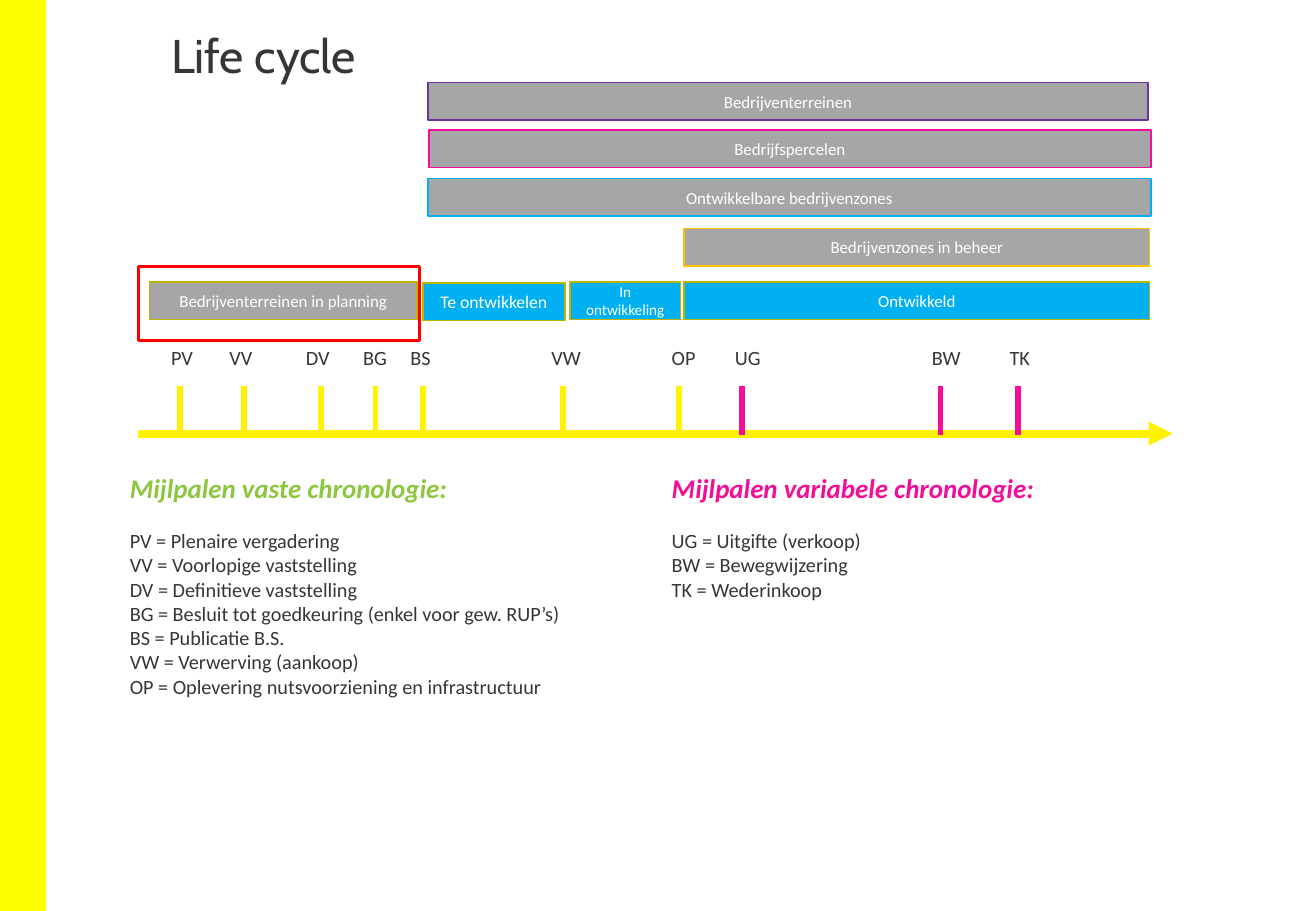
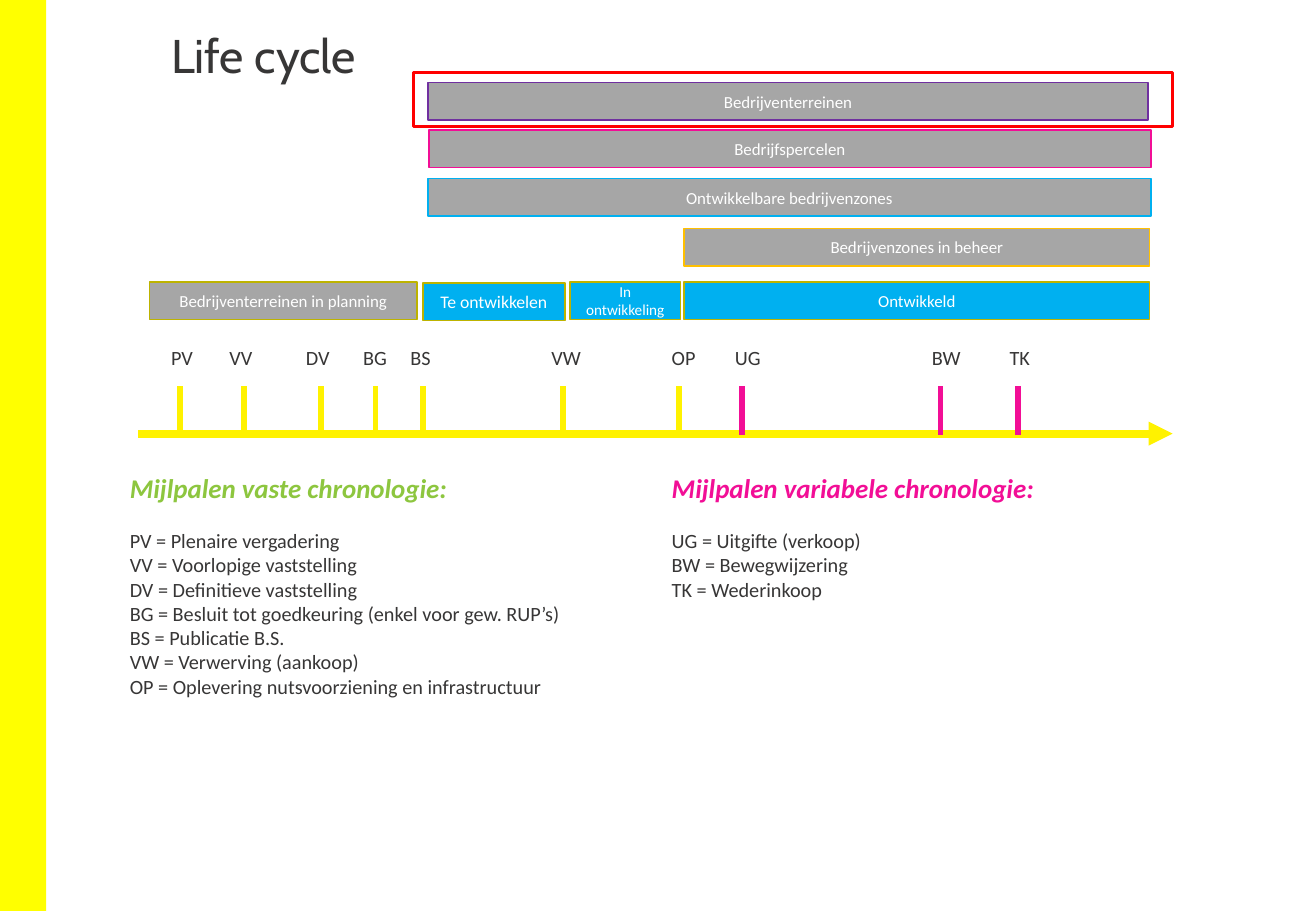
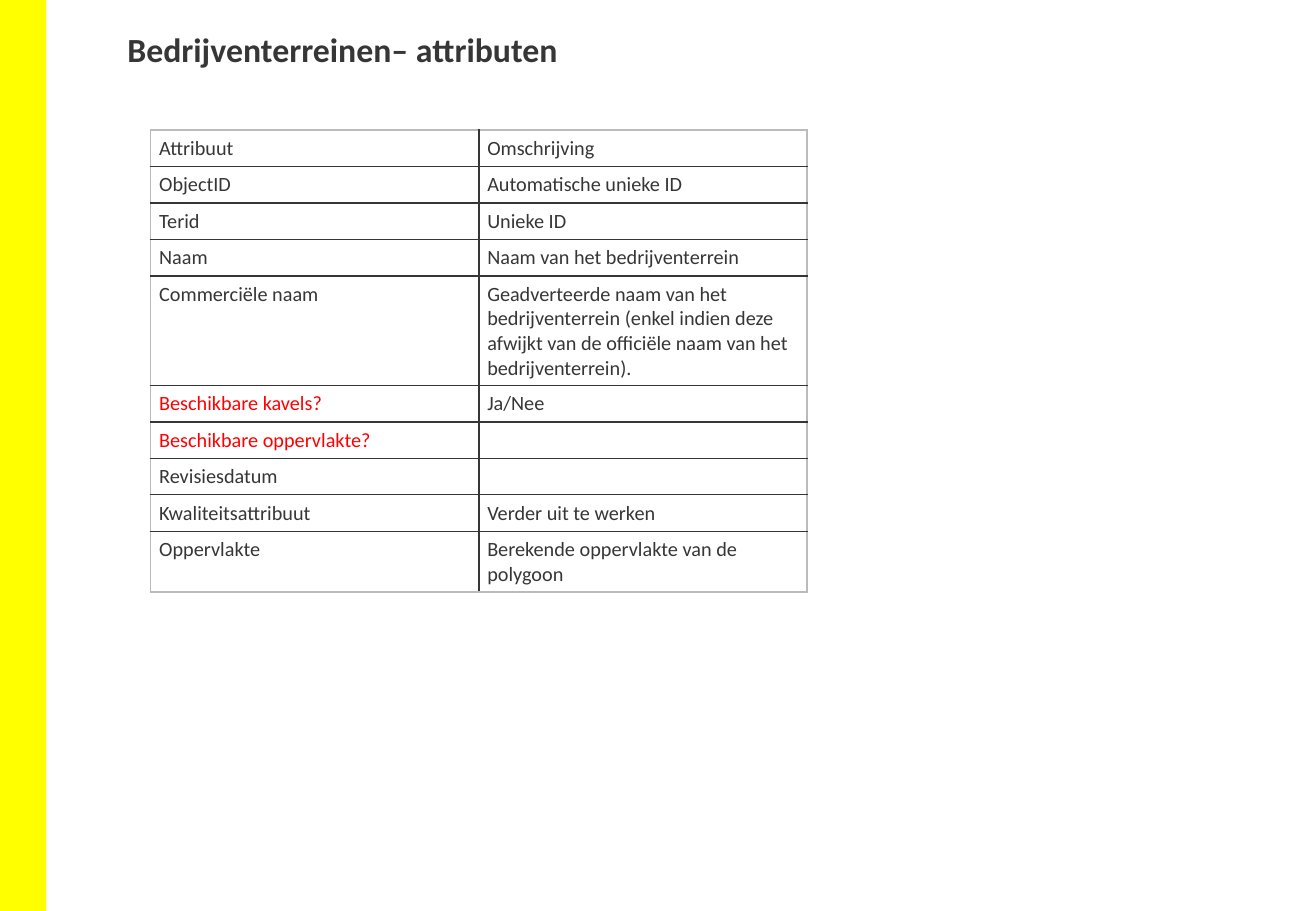
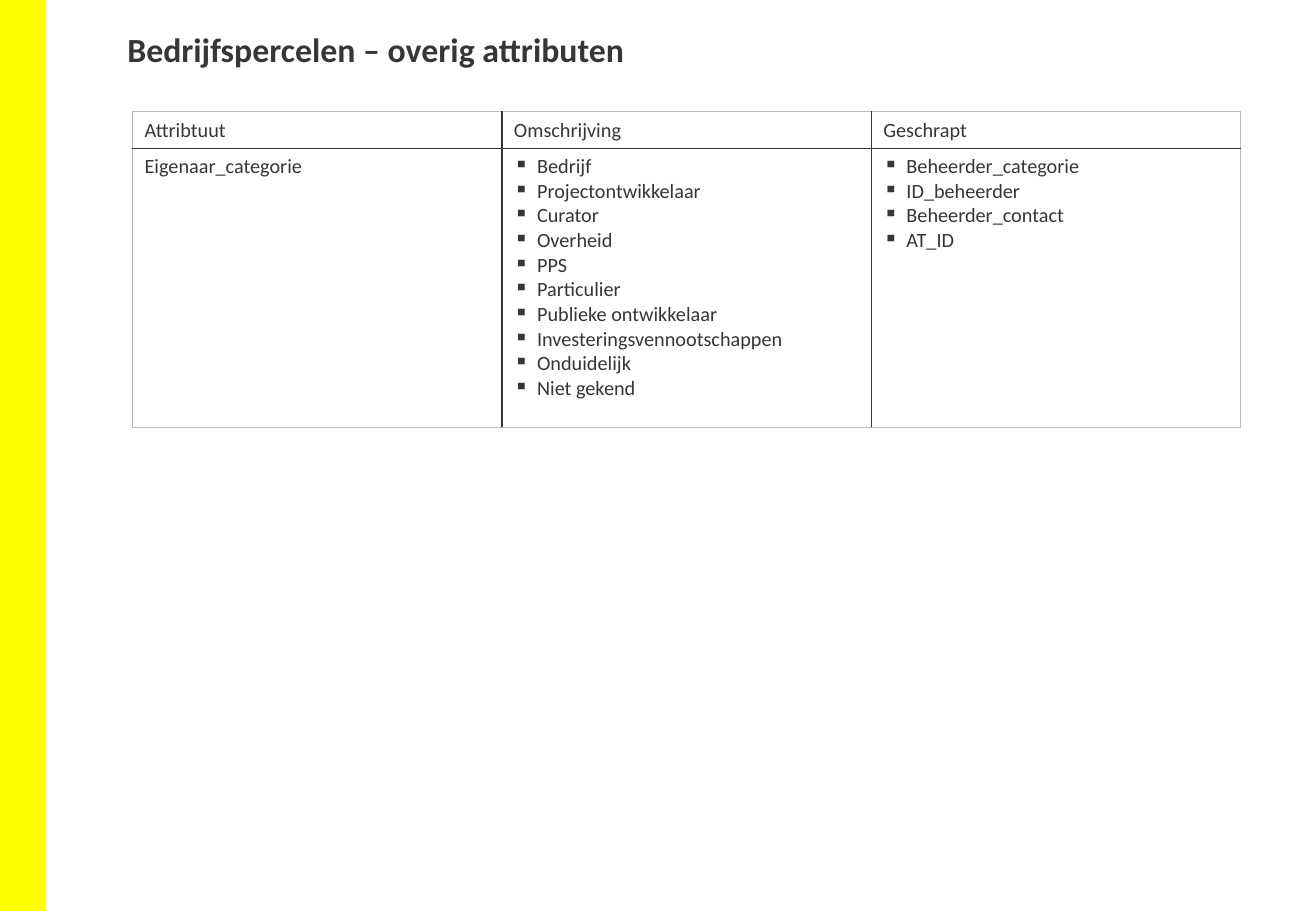
from lxml import etree
from pptx import Presentation
from pptx.dml.color import RGBColor
from pptx.enum.shapes import MSO_CONNECTOR, MSO_SHAPE
from pptx.enum.text import MSO_ANCHOR, PP_ALIGN
from pptx.oxml.ns import qn
from pptx.util import Inches, Pt

COLORS = {
    "band": "FFFF00", "text": "373636", "white": "FFFFFF", "grey": "A6A6A6",
    "frame": "BBBBBB", "axis": "FFF200", "pink": "F20E96", "green": "8DC63F",
    "blue": "00B0F0", "olive": "BDB300", "amber": "FFC000",
    "purple": "7030A0", "red": "FF0000",
}
COLORS = {name: RGBColor.from_string(value) for name, value in COLORS.items()}
BODY_FONT = "Calibri"

# Title, font, size, bold, box
LIFE_CYCLE_TITLE = ("Life cycle", "Cabin", 28, False, (1.31, 0.22, 8.11, 0.72))
TITLE_BOX = (0.95, 0.19, 9.15, 0.44)
TITLES = [
    LIFE_CYCLE_TITLE,
    LIFE_CYCLE_TITLE,
    ("Bedrijventerreinen– attributen", BODY_FONT, 20, True, TITLE_BOX),
    ("Bedrijfspercelen – overig attributen", BODY_FONT, 20, True, TITLE_BOX),
]

# Text, left, top, width, fill, line, text size
BAR_HEIGHT = 0.31
BARS = [
    ("Te ontwikkelen", 3.48, 2.33, 1.17, "blue", "olive", 10.5),
    ("In ontwikkeling", 4.69, 2.32, 0.91, "blue", "olive", 9),
    ("Ontwikkeld", 5.63, 2.32, 3.83, "blue", "olive", 10),
    ("Ontwikkelbare bedrijvenzones", 3.52, 1.47, 5.95, "grey", "blue", 10),
    ("Bedrijvenzones in beheer", 5.63, 1.88, 3.83, "grey", "amber", 10),
    ("Bedrijfspercelen", 3.53, 1.07, 5.94, "grey", "pink", 10),
    ("Bedrijventerreinen", 3.52, 0.68, 5.93, "grey", "purple", 10),
    ("Bedrijventerreinen in planning", 1.23, 2.32, 2.2, "grey", "olive", 10),
]

# Code, tick position, label left, colour
MILESTONES = [
    ("PV", 1.48, 1.31, "axis"), ("VV", 2.01, 1.79, "axis"),
    ("DV", 2.64, 2.42, "axis"), ("BG", 3.09, 2.89, "axis"),
    ("BS", 3.48, 3.28, "axis"), ("VW", 4.63, 4.44, "axis"),
    ("OP", 5.59, 5.43, "axis"), ("UG", 6.11, 5.95, "pink"),
    ("BW", 7.74, 7.57, "pink"), ("TK", 8.38, 8.21, "pink"),
]
AXIS_Y = 3.57
TICK_TOP, TICK_BOTTOM = 3.18, 3.58

# Heading, colour, left, height, explanations
LEGENDS = [
    ("Mijlpalen vaste chronologie:", "green", 0.97, 1.99, [
        "PV = Plenaire vergadering",
        "VV = Voorlopige vaststelling",
        "DV = Definitieve vaststelling",
        "BG = Besluit tot goedkeuring (enkel voor gew. RUP’s)",
        "BS = Publicatie B.S.",
        "VW = Verwerving (aankoop)",
        "OP = Oplevering nutsvoorziening en infrastructuur",
    ]),
    ("Mijlpalen variabele chronologie:", "pink", 5.43, 1.18, [
        "UG = Uitgifte (verkoop)",
        "BW = Bewegwijzering",
        "TK = Wederinkoop",
    ]),
]
HIGHLIGHTS = [(1.14, 2.19, 2.31, 0.61), (3.4, 0.6, 6.25, 0.44)]

SITE_ROWS = [
    ("Attribuut", "Omschrijving"),
    ("ObjectID", "Automatische unieke ID"),
    ("Terid", "Unieke ID"),
    ("Naam", "Naam van het bedrijventerrein"),
    ("Commerciële naam",
     "Geadverteerde naam van het bedrijventerrein (enkel indien deze afwijkt "
     "van de officiële naam van het bedrijventerrein)."),
    ("Beschikbare kavels?", "Ja/Nee"),
    ("Beschikbare oppervlakte?", ""),
    ("Revisiesdatum", ""),
    ("Kwaliteitsattribuut", "Verder uit te werken"),
    ("Oppervlakte", "Berekende oppervlakte van de polygoon"),
]
OPEN_QUESTIONS = ("Beschikbare kavels?", "Beschikbare oppervlakte?")
OWNERS = [
    "Bedrijf", "Projectontwikkelaar", "Curator", "Overheid", "PPS",
    "Particulier", "Publieke ontwikkelaar", "Investeringsvennootschappen",
    "Onduidelijk", "Niet gekend",
]
DROPPED = ["Beheerder_categorie", "ID_beheerder", "Beheerder_contact", "AT_ID"]
PARCEL_ROWS = [
    ("Attribtuut", "Omschrijving", "Geschrapt"),
    ("Eigenaar_categorie", "\n".join(OWNERS), "\n".join(DROPPED)),
]

# Slide index, left, top, column width, row heights, side inset, rows
TABLES = [
    (2, 1.24, 1.07, 2.7, [0.3] * 4 + [0.9] + [0.3] * 4 + [0.49], 0.07, SITE_ROWS),
    (3, 1.09, 0.92, 3.04, [0.3, 2.3], 0.1, PARCEL_ROWS),
]


def add_text(slide, box, text, size, color="text", font=BODY_FONT, bold=False):
    frame = slide.shapes.add_textbox(*map(Inches, box)).text_frame
    frame.word_wrap = True
    frame.text = text
    for paragraph in frame.paragraphs:
        for run in paragraph.runs:
            run.font.name, run.font.size, run.font.bold = font, Pt(size), bold
            run.font.color.rgb = COLORS[color]
    return frame


def add_line(slide, start, end, color, width):
    line = slide.shapes.add_connector(
        MSO_CONNECTOR.STRAIGHT, *map(Inches, (*start, *end)))
    line.line.color.rgb = COLORS[color]
    line.line.width = Pt(width)
    etree.SubElement(line._element.spPr, qn("a:effectLst"))
    return line


prs = Presentation()
prs.slide_width, prs.slide_height = Inches(10.83), Inches(7.5)

# Shared band and title
slides = []
for title, font, size, bold, box in TITLES:
    slide = prs.slides.add_slide(prs.slide_layouts[6])
    band = slide.shapes.add_shape(
        MSO_SHAPE.RECTANGLE, 0, 0, Inches(0.38), prs.slide_height)
    band.shadow.inherit = False
    band.fill.solid()
    band.fill.fore_color.rgb = COLORS["band"]
    band.line.fill.background()
    heading = add_text(slide, box, title, size, font=font, bold=bold)
    if font != BODY_FONT:
        heading.paragraphs[0].line_spacing = 0.9
    slides.append(slide)

# Life cycle slides differ only in the highlighted bar
for slide, highlight in zip(slides, HIGHLIGHTS):
    axis = add_line(slide, (1.14, AXIS_Y), (9.65, AXIS_Y), "axis", 4.75)
    etree.SubElement(axis.line._get_or_add_ln(), qn("a:tailEnd"), type="triangle")

    for code, x, label_left, color in MILESTONES:
        add_line(slide, (x, TICK_TOP), (x, TICK_BOTTOM), color, 3.5)
        add_text(slide, (label_left, 2.79, 0.5, 0.3), code, 12)

    for text, left, top, width, fill, outline, size in BARS:
        bar = slide.shapes.add_shape(
            MSO_SHAPE.RECTANGLE, *map(Inches, (left, top, width, BAR_HEIGHT)))
        bar.shadow.inherit = False
        bar.fill.solid()
        bar.fill.fore_color.rgb = COLORS[fill]
        bar.line.color.rgb = COLORS[outline]
        bar.line.width = Pt(1)
        bar.text_frame.text = text
        bar.text_frame.vertical_anchor = MSO_ANCHOR.MIDDLE
        caption = bar.text_frame.paragraphs[0]
        caption.alignment = PP_ALIGN.CENTER
        caption_font = caption.runs[0].font
        caption_font.name, caption_font.size = BODY_FONT, Pt(size)
        caption_font.color.rgb = COLORS["white"]

    for heading, color, left, height, explanations in LEGENDS:
        legend = add_text(slide, (left, 3.83, 4.17, height),
                          "\n".join([heading, *explanations]), 12)
        heading_font = legend.paragraphs[0].runs[0].font
        heading_font.size = Pt(16)
        heading_font.bold = heading_font.italic = True
        heading_font.color.rgb = COLORS[color]
        legend.paragraphs[1].space_before = Pt(14.6)

    marker = slide.shapes.add_shape(MSO_SHAPE.RECTANGLE, *map(Inches, highlight))
    marker.shadow.inherit = False
    marker.fill.background()
    marker.line.color.rgb = COLORS["red"]
    marker.line.width = Pt(1.75)

# Attribute tables
for index, left, top, column_width, heights, inset, rows in TABLES:
    last_row, last_column = len(rows) - 1, len(rows[0]) - 1
    table = slides[index].shapes.add_table(
        len(rows), len(rows[0]), Inches(left), Inches(top),
        Inches(column_width * len(rows[0])), Inches(sum(heights))).table
    table.first_row = table.horz_banding = False
    for column in table.columns:
        column.width = Inches(column_width)
    for r, (row, height) in enumerate(zip(rows, heights)):
        table.rows[r].height = Inches(height)
        for c, text in enumerate(row):
            cell = table.cell(r, c)
            cell.margin_left = cell.margin_right = Inches(inset)
            cell.text_frame.text = text

            outer_edges = {"a:lnL": c == 0, "a:lnR": c == last_column,
                           "a:lnT": r == 0, "a:lnB": r == last_row}
            for tag, is_outer in outer_edges.items():
                edge = etree.SubElement(
                    cell._tc.get_or_add_tcPr(), qn(tag), w=str(Pt(1)))
                edge_fill = etree.SubElement(edge, qn("a:solidFill"))
                etree.SubElement(edge_fill, qn("a:srgbClr"),
                                 val=str(COLORS["frame" if is_outer else "text"]))
            cell.fill.solid()
            cell.fill.fore_color.rgb = COLORS["white"]

            color = "red" if text in OPEN_QUESTIONS else "text"
            for paragraph in cell.text_frame.paragraphs:
                if "\n" in text:
                    properties = paragraph._p.get_or_add_pPr()
                    properties.set("marL", str(Inches(0.19)))
                    properties.set("indent", str(-Inches(0.19)))
                    etree.SubElement(properties, qn("a:buChar"), char="▪")
                for run in paragraph.runs:
                    run.font.name, run.font.size = BODY_FONT, Pt(12)
                    run.font.color.rgb = COLORS[color]
                if not text:
                    etree.SubElement(paragraph._p, qn("a:endParaRPr"), sz="1200")

prs.save("out.pptx")
